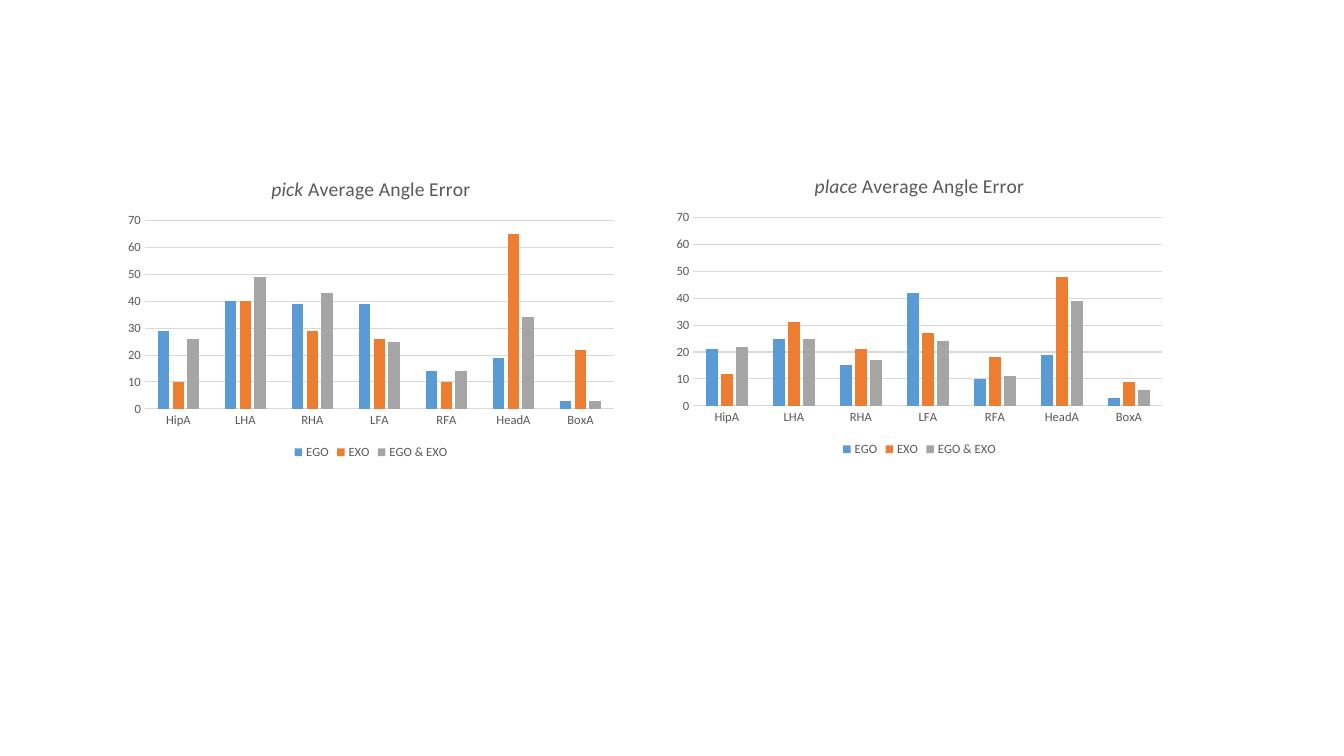
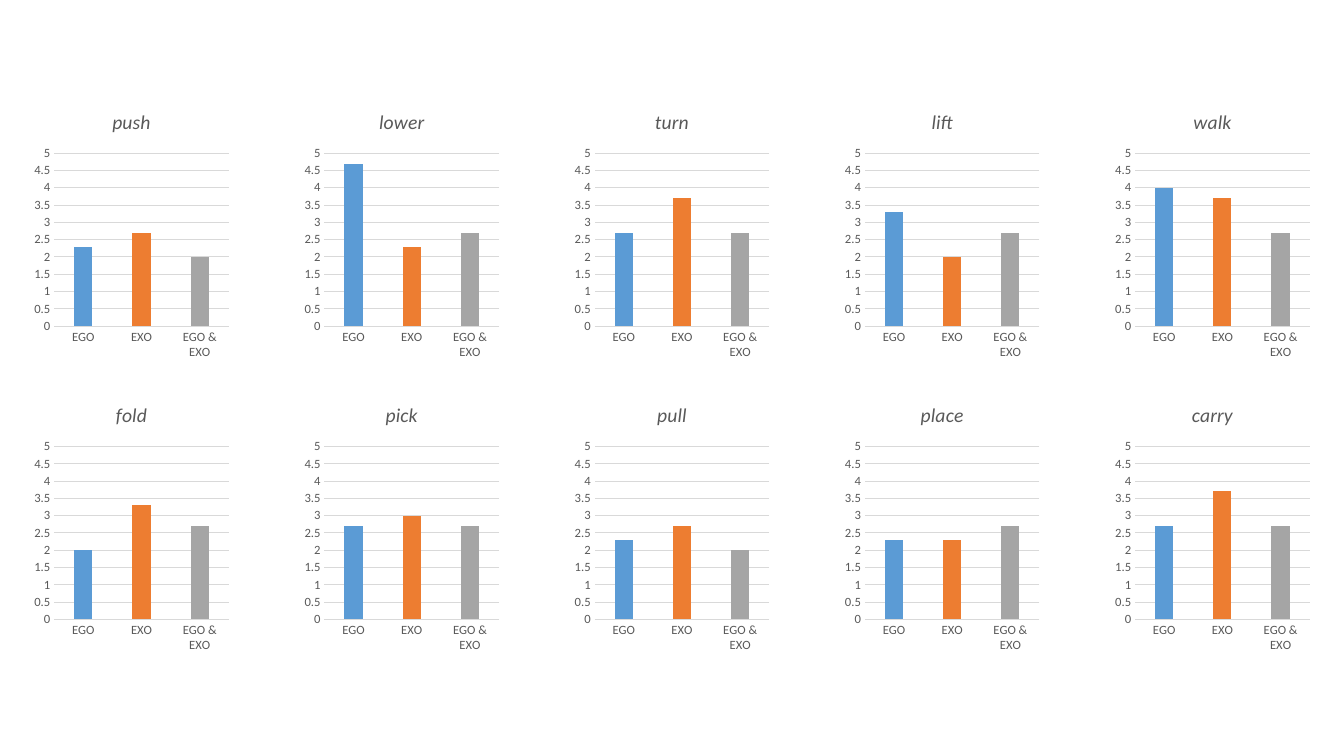
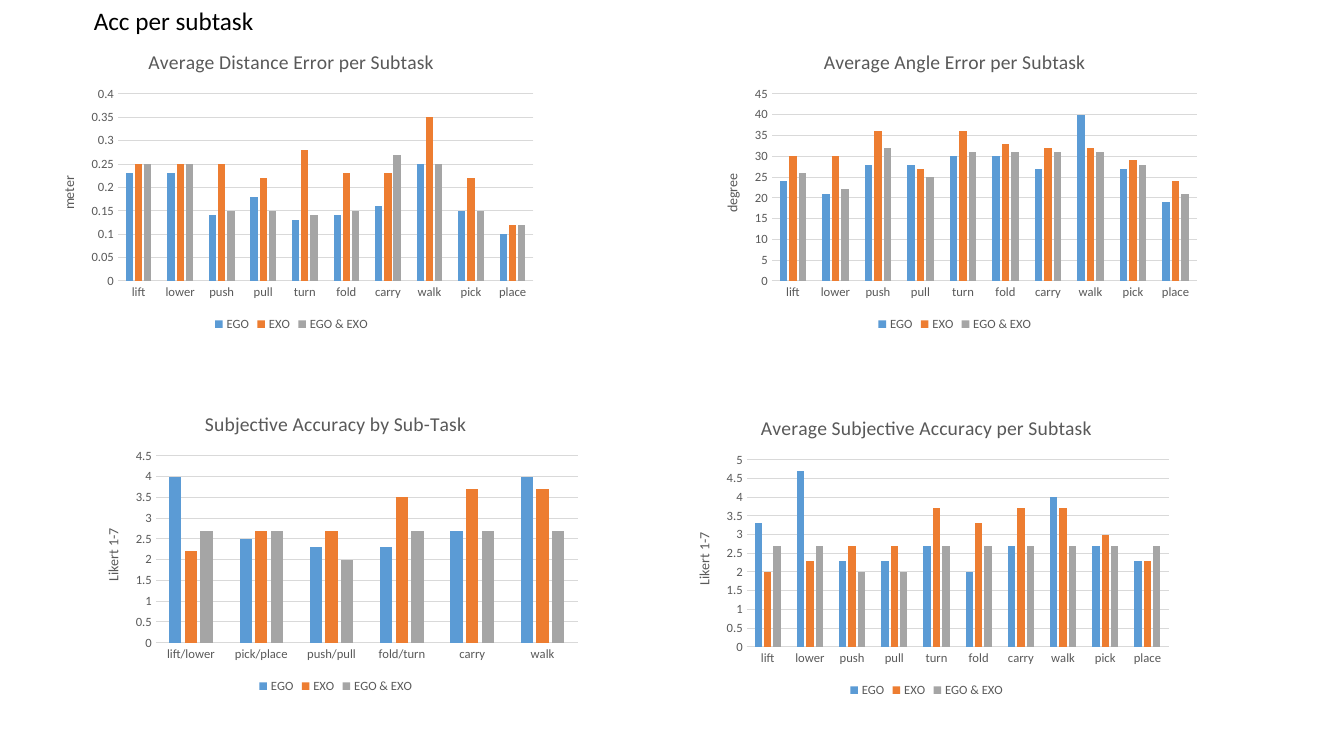
from pptx import Presentation
from pptx.chart.data import CategoryChartData
from pptx.dml.color import RGBColor
from pptx.enum.chart import XL_CHART_TYPE, XL_LEGEND_POSITION, XL_TICK_MARK
from pptx.enum.text import MSO_ANCHOR, MSO_AUTO_SIZE, PP_ALIGN
from pptx.util import Inches, Pt

COLUMN = XL_CHART_TYPE.COLUMN_CLUSTERED
BOTTOM = XL_LEGEND_POSITION.BOTTOM
NO_TICK = XL_TICK_MARK.NONE
LEFT = PP_ALIGN.LEFT
MIDDLE = MSO_ANCHOR.MIDDLE
FIXED = MSO_AUTO_SIZE.NONE

# Shared style
BLACK = RGBColor(0x00, 0x00, 0x00)
GRAY = RGBColor(0x59, 0x59, 0x59)
PALE = RGBColor(0xD9, 0xD9, 0xD9)
BLUE = RGBColor(0x5B, 0x9B, 0xD5)
ORANGE = RGBColor(0xED, 0x7D, 0x31)
SILVER = RGBColor(0xA5, 0xA5, 0xA5)
HUES = (BLUE, ORANGE, SILVER)
FONT = "Calibri"
VIEWS = ("EGO", "EXO", "EGO & EXO")

# Slide 1: angle errors by joint
JOINTS = ("HipA", "LHA", "RHA", "LFA", "RFA", "HeadA", "BoxA")
ANGLES = (
    ("pick", 1.17, 1.6, ((29, 40, 39, 39, 14, 19, 3),
                         (10, 40, 29, 26, 10, 65, 22),
                         (26, 49, 43, 25, 14, 34, 3))),
    ("place", 6.61, 1.57, ((21, 25, 15, 42, 10, 19, 3),
                           (12, 31, 21, 27, 18, 48, 9),
                           (22, 25, 17, 24, 11, 39, 6))),
)

# Slide 2: ratings by task, in rows of the grid
RATINGS = (
    (("push", (2.3, 2.7, 2)), ("lower", (4.7, 2.3, 2.7)),
     ("turn", (2.7, 3.7, 2.7)), ("lift", (3.3, 2, 2.7)),
     ("walk", (4, 3.7, 2.7))),
    (("fold", (2, 3.3, 2.7)), ("pick", (2.7, 3, 2.7)),
     ("pull", (2.3, 2.7, 2)), ("place", (2.3, 2.3, 2.7)),
     ("carry", (2.7, 3.7, 2.7))),
)

# Slide 3: title, unit, left, top, axis maximum, step, categories, values
TASKS = ("lift", "lower", "push", "pull", "turn",
         "fold", "carry", "walk", "pick", "place")
PAIRS = ("lift/lower", "pick/place", "push/pull", "fold/turn", "carry", "walk")
SCORES = (
    ("Average Distance Error per Subtask", "meter", 0.39, 0.33, 0.4, 0.05, TASKS,
     ((0.23, 0.23, 0.14, 0.18, 0.13, 0.14, 0.16, 0.25, 0.15, 0.1),
      (0.25, 0.25, 0.25, 0.22, 0.28, 0.23, 0.23, 0.35, 0.22, 0.12),
      (0.25, 0.25, 0.15, 0.15, 0.14, 0.15, 0.27, 0.25, 0.15, 0.12))),
    ("Average Angle Error per Subtask", "degree", 6.97, 0.33, 45, 5, TASKS,
     ((24, 21, 28, 28, 30, 30, 27, 40, 27, 19),
      (30, 30, 36, 27, 36, 33, 32, 32, 29, 24),
      (26, 22, 32, 25, 31, 31, 31, 31, 28, 21))),
    ("Subjective Accuracy by Sub-Task", "Likert 1-7", 0.83, 3.92, 4.5, 0.5, PAIRS,
     ((4, 2.5, 2.3, 2.3, 2.7, 4),
      (2.2, 2.7, 2.7, 3.5, 3.7, 3.7),
      (2.7, 2.7, 2, 2.7, 2.7, 2.7))),
    ("Average Subjective Accuracy per Subtask", "Likert 1-7", 6.69, 3.96, 5, 0.5, TASKS,
     ((3.3, 4.7, 2.3, 2.3, 2.7, 2, 2.7, 4, 2.7, 2.3),
      (2, 2.3, 2.7, 2.7, 3.7, 3.3, 3.7, 3.7, 3, 2.3),
      (2.7, 2.7, 2, 2, 2.7, 2.7, 2.7, 2.7, 2.7, 2.7))),
)


def style(font, size=9, color=GRAY, italic=False):
    font.name, font.size = FONT, Pt(size)
    font.bold, font.italic = False, italic
    font.color.rgb = color


def write(frame, text, **form):
    """Add a run to the first paragraph of a text frame."""
    run = frame.paragraphs[0].add_run()
    run.text = text
    style(run.font, **form)


def paint(item, color):
    item.format.fill.solid()
    item.format.fill.fore_color.rgb = color


def rule(line):
    line.color.rgb = PALE
    line.width = Pt(0.75)


def set_axes(chart, top, step, unit):
    cats, vals = chart.category_axis, chart.value_axis
    for axis in (cats, vals):
        axis.major_tick_mark = axis.minor_tick_mark = NO_TICK
        style(axis.tick_labels.font)
    rule(cats.format.line)
    vals.format.line.fill.background()
    vals.has_major_gridlines = True
    rule(vals.major_gridlines.format.line)
    vals.minimum_scale, vals.maximum_scale, vals.major_unit = 0, top, step
    if unit:
        write(vals.axis_title.text_frame, unit, size=10)
        for body in chart.element.xpath(".//c:valAx/c:title//a:bodyPr"):
            body.set("rot", "-5400000")
            body.set("vert", "horz")


def add_bars(slide, box, cats, rows, top, step, lead="", title="", unit=""):
    """Add a column chart; lead is the italic start of its title."""
    data = CategoryChartData()
    data.categories = cats
    names = VIEWS if len(rows) > 1 else ("Series 1",)
    for name, row in zip(names, rows):
        data.add_series(name, row)
    place = [Inches(side) for side in box]
    chart = slide.shapes.add_chart(COLUMN, *place, data).chart
    style(chart.font, size=10, color=BLACK)

    # Title
    frame = chart.chart_title.text_frame
    if lead:
        write(frame, lead, size=14, italic=True)
    if title:
        write(frame, title, size=14)

    # Bars
    plot = chart.plots[0]
    plot.gap_width, plot.overlap, plot.vary_by_categories = 219, -27, False
    for series, hue in zip(plot.series, HUES):
        paint(series, hue)
    if len(rows) == 1:
        for spot in (1, 2):
            paint(plot.series[0].points[spot], HUES[spot])

    # Legend
    chart.has_legend = len(rows) > 1
    if chart.has_legend:
        chart.legend.position = BOTTOM
        chart.legend.include_in_layout = False
        style(chart.legend.font)
    set_axes(chart, top, step, unit)


def add_title(slide, text):
    shape = slide.shapes.title
    shape.left, shape.top = Inches(0.83), 0
    shape.width, shape.height = Inches(2.65), Inches(0.4)
    frame = shape.text_frame
    frame.auto_size, frame.vertical_anchor = FIXED, MIDDLE
    frame.paragraphs[0].alignment = LEFT
    write(frame, text, size=18, color=BLACK)


def main():
    deck = Presentation()
    deck.slide_width, deck.slide_height = Inches(13.33), Inches(7.5)
    titled, blank = deck.slide_layouts[5], deck.slide_layouts[6]

    # Angle errors for two tasks
    slide = deck.slides.add_slide(blank)
    for task, left, top, rows in ANGLES:
        add_bars(slide, (left, top, 5.02, 3), JOINTS, rows, 70, 10,
                 lead=task, title=" Average Angle Error")

    # Grid of ratings
    slide = deck.slides.add_slide(blank)
    for row, tasks in enumerate(RATINGS):
        for col, (task, vals) in enumerate(tasks):
            box = (0.3 + 2.68 * col, 0.93 + 2.91 * row, 2.01, 2.69)
            add_bars(slide, box, VIEWS, (vals,), 5, 0.5, lead=task)

    # Accuracy per subtask
    slide = deck.slides.add_slide(titled)
    for title, unit, left, top, peak, step, cats, rows in SCORES:
        add_bars(slide, (left, top, 5, 3), cats, rows, peak, step,
                 title=title, unit=unit)
    add_title(slide, "Acc per subtask")

    deck.save("out.pptx")


if __name__ == "__main__":
    main()
